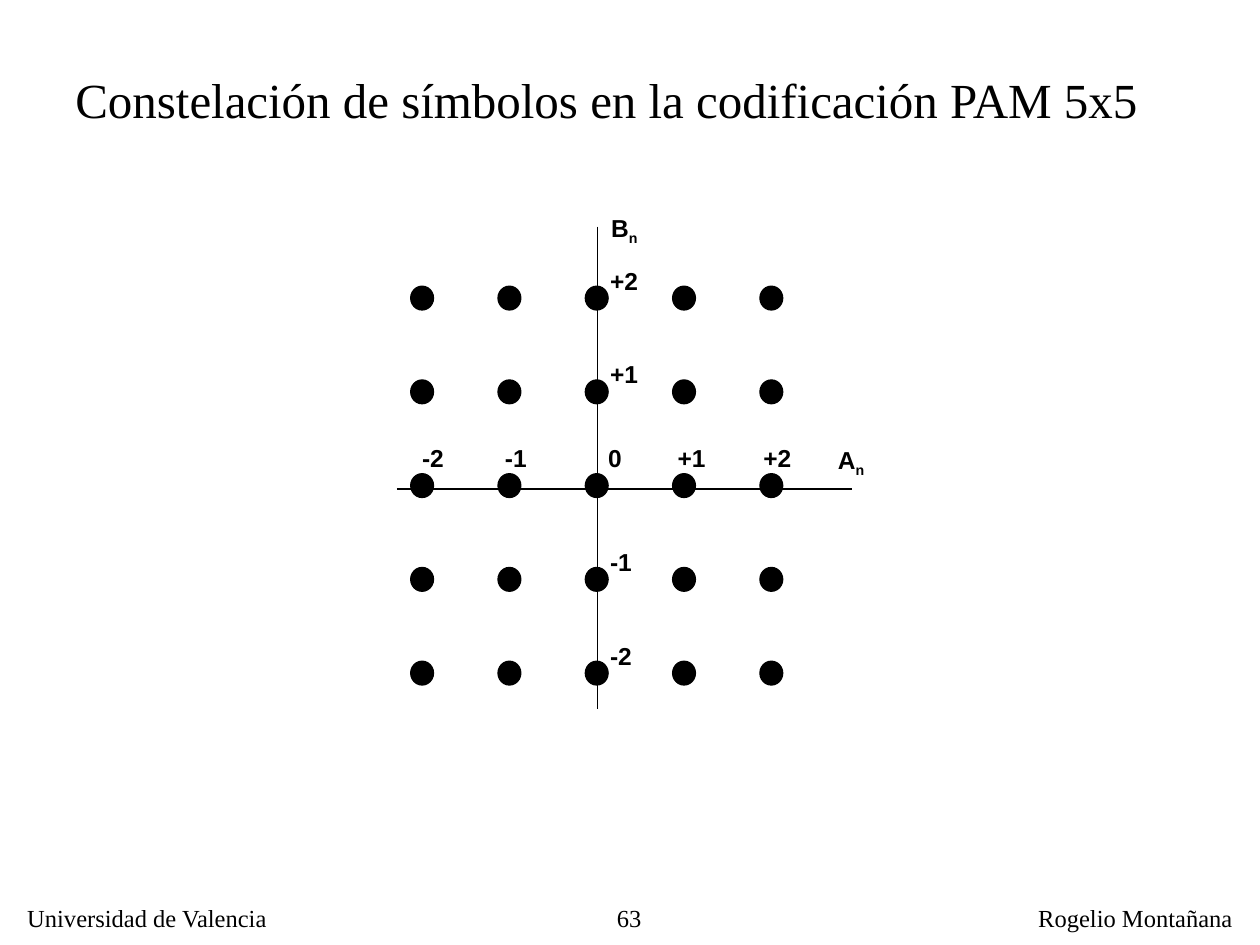
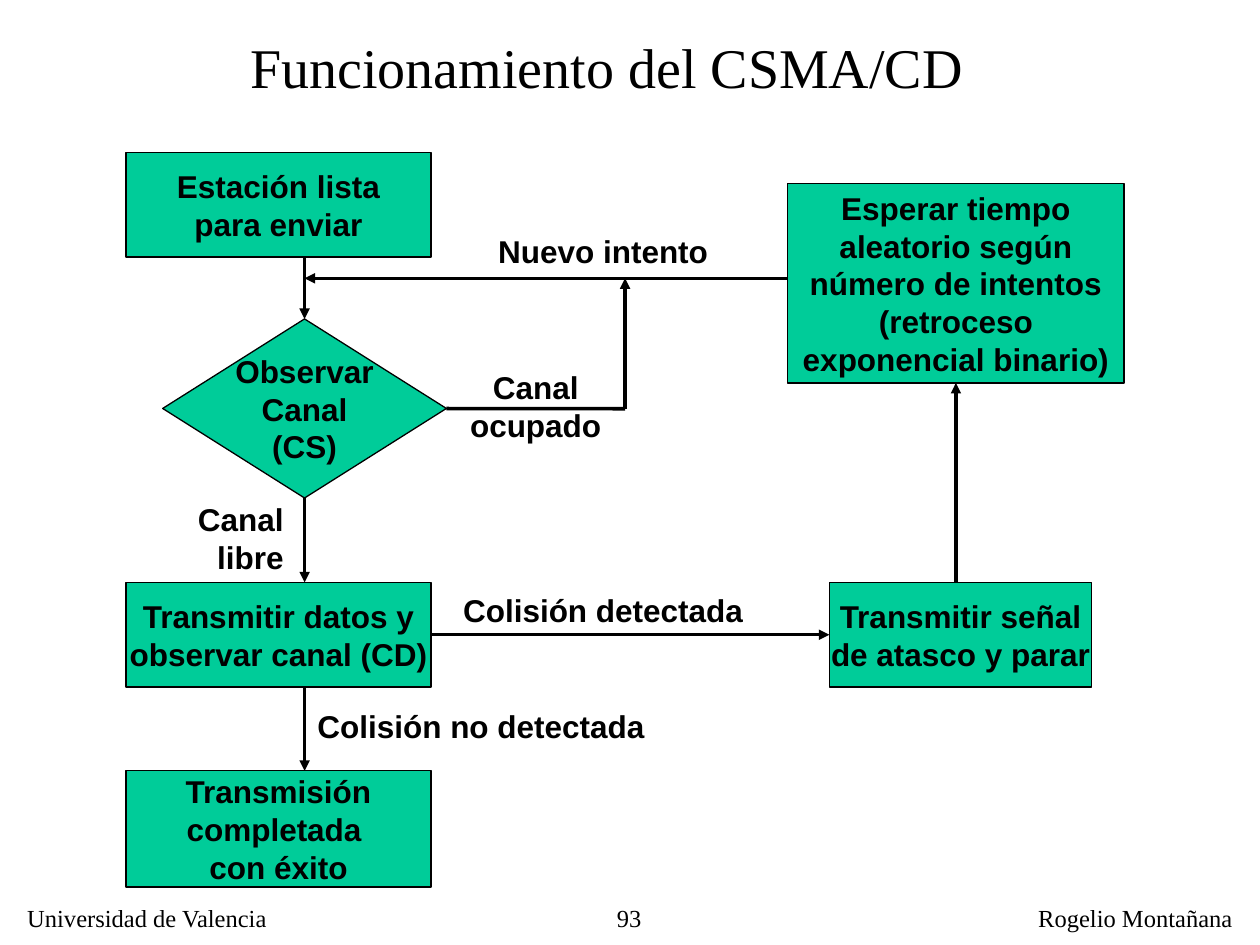
from dataclasses import dataclass

from lxml.etree import SubElement
from pptx import Presentation
from pptx.dml.color import RGBColor
from pptx.enum.shapes import MSO_CONNECTOR, MSO_SHAPE
from pptx.enum.text import MSO_ANCHOR, MSO_AUTO_SIZE, PP_ALIGN
from pptx.oxml.ns import qn
from pptx.util import Cm, Pt


@dataclass(frozen=True)
class Theme:
    ink: RGBColor = RGBColor(0x00, 0x00, 0x00)
    box_fill: RGBColor = RGBColor(0x00, 0xCC, 0x99)
    serif: str = "Times New Roman"
    sans: str = "Arial"
    small: int = 14
    flow: int = 18
    thin_line: float = 0.75
    arrow_line: float = 2


THEME = Theme()
LEFT, CENTER, RIGHT = PP_ALIGN.LEFT, PP_ALIGN.CENTER, PP_ALIGN.RIGHT

# Shared footer: text, (left, top, width, height) in cm, alignment
UNIVERSITY = ("Universidad de Valencia", (0.3, 18.08, 5.41, 0.86), LEFT)
AUTHOR = ("Rogelio Montañana", (20.68, 18.08, 4.42, 0.86), LEFT)
PAGE_NUMBER_PLACE = (10.49, 18.08, 2.69, 0.79)

# Constellation slide
CONSTELLATION_TITLE = ("Constelación de símbolos en la codificación PAM 5x5",
                       (1.27, 1.27, 22, 1.45), 28, LEFT)
AXES = [((8, 9.86), (17.17, 9.86)), ((12.04, 4.57), (12.04, 14.3))]
AXIS_NAMES = [("A", "n", (16.64, 8.84, 1.04, 0.94)),
              ("B", "n", (12.07, 4.17, 1.04, 0.94))]
LEVELS = 5
FIRST_DOT = (8.28, 5.77)
DOT_STEP = (1.76, 1.89)
DOT_SIZE = (0.46, 0.48)
HORIZONTAL_LABELS = [("-2", 8.26), ("-1", 9.93), ("0", 12.01),
                     ("+1", 13.41), ("+2", 15.14)]
HORIZONTAL_LABEL_TOP = 8.8
VERTICAL_LABELS = [("+2", 0), ("+1", 1), ("-1", 3), ("-2", 4)]
VERTICAL_LABEL_LEFT = 12.05
VERTICAL_LABEL_RISE = 0.54
LABEL_WIDTHS = {"-": 0.94, "0": 0.79, "+": 1.07}
LABEL_HEIGHT = 0.86

# Flow chart slide
FLOW_TITLE = ("Funcionamiento del CSMA/CD", (4.8, 0.53, 14.88, 1.63), 32, CENTER)
FLOW_BOXES = {
    "observe": (MSO_SHAPE.DIAMOND, "Observar\nCanal\n(CS)", (3.28, 6.43, 5.72, 3.61)),
    "ready": (MSO_SHAPE.RECTANGLE, "Estación lista\npara enviar",
              (2.54, 3.07, 6.15, 2.11)),
    "done": (MSO_SHAPE.RECTANGLE, "Transmisión\ncompletada \ncon éxito",
             (2.54, 15.54, 6.15, 2.34)),
    "transmit": (MSO_SHAPE.RECTANGLE, "Transmitir datos y\nobservar canal (CD)",
                 (2.54, 11.74, 6.15, 2.11)),
    "jam": (MSO_SHAPE.RECTANGLE, "Transmitir señal\nde atasco y parar",
            (16.72, 11.74, 5.29, 2.11)),
    "wait": (MSO_SHAPE.RECTANGLE,
             "Esperar tiempo\naleatorio según\nnúmero de intentos\n"
             "(retroceso\nexponencial binario)", (15.88, 3.7, 6.78, 4.02)),
}
TOP, LEFT_SIDE, BOTTOM, RIGHT_SIDE = range(4)
MAIN_X, RETRY_Y = 6.14, 5.61
BUSY_CORNER = (12.6, 8.24)
# Each end is a point in cm or a (box, side) pair; the flag asks for an arrowhead
FLOW_LINES = [
    ((MAIN_X, 5.18), ("observe", TOP), True),
    (("observe", BOTTOM), (MAIN_X, 11.74), True),
    ((15.88, RETRY_Y), (MAIN_X, RETRY_Y), True),
    (("observe", RIGHT_SIDE), BUSY_CORNER, False),
    (BUSY_CORNER, (BUSY_CORNER[0], RETRY_Y), True),
    ((19.27, 11.74), ("wait", BOTTOM), True),
    (("transmit", RIGHT_SIDE), ("jam", LEFT_SIDE), True),
    ((MAIN_X, 13.85), (MAIN_X, 15.54), True),
]
FLOW_LABELS = [
    ("Colisión detectada", (8.96, 11.79, 6.4, 1.02), CENTER),
    ("Nuevo intento", (9.46, 4.55, 5.4, 1.02), CENTER),
    ("Canal\nocupado", (9.1, 7.29, 3.4, 1.78), CENTER),
    ("Canal\nlibre", (3.47, 9.96, 2.5, 1.78), RIGHT),
    ("Colisión no detectada", (6, 14.12, 7.4, 1.02), CENTER),
]


def lengths(values):
    return [Cm(value) for value in values]


def write(shape, text, font_name, size, alignment, bold=False, wrap=False):
    frame = shape.text_frame
    frame.word_wrap = wrap
    frame.text = text
    for paragraph in frame.paragraphs:
        paragraph.alignment = alignment
        paragraph.font.name = font_name
        paragraph.font.size = Pt(size)
        paragraph.font.bold = bold
        paragraph.font.color.rgb = THEME.ink


def add_text(slide, text, place, font_name, size, alignment=LEFT, bold=False, wrap=False):
    text_box = slide.shapes.add_textbox(*lengths(place))
    write(text_box, text, font_name, size, alignment, bold, wrap)
    if not wrap:
        text_box.text_frame.auto_size = MSO_AUTO_SIZE.SHAPE_TO_FIT_TEXT
    return text_box


def add_filled(slide, kind, place, fill):
    shape = slide.shapes.add_shape(kind, *lengths(place))
    shape.shadow.inherit = False
    shape.fill.solid()
    shape.fill.fore_color.rgb = fill
    shape.line.color.rgb = THEME.ink
    shape.line.width = Pt(THEME.thin_line)
    return shape


def add_line(slide, start, end, width, arrow=False, boxes=None):
    points = [(0, 0) if isinstance(stop[0], str) else stop for stop in (start, end)]
    connector = slide.shapes.add_connector(
        MSO_CONNECTOR.STRAIGHT, *lengths(points[0] + points[1]))
    for stop, join in ((start, connector.begin_connect), (end, connector.end_connect)):
        if isinstance(stop[0], str):
            join(boxes[stop[0]], stop[1])
    connector.line.color.rgb = THEME.ink
    connector.line.width = Pt(width)
    properties = connector.element.spPr
    if arrow:
        SubElement(properties.find(qn("a:ln")), qn("a:tailEnd"), type="triangle")
    SubElement(properties, qn("a:effectLst"))


def add_page(presentation, title, number):
    slide = presentation.slides.add_slide(presentation.slide_layouts[6])
    add_text(slide, number, PAGE_NUMBER_PLACE, THEME.serif, THEME.small, RIGHT, wrap=True)
    for text, place, alignment in (UNIVERSITY, AUTHOR):
        add_text(slide, text, place, THEME.serif, THEME.small, alignment)
    text, place, size, alignment = title
    add_text(slide, text, place, THEME.serif, size, alignment)
    return slide


def add_axis_label(slide, text, left, top):
    place = (left, top, LABEL_WIDTHS[text[0]], LABEL_HEIGHT)
    add_text(slide, text, place, THEME.sans, THEME.small, bold=True)


def build_constellation(presentation):
    slide = add_page(presentation, CONSTELLATION_TITLE, "63")
    for start, end in AXES:
        add_line(slide, start, end, THEME.thin_line)

    # Grid of symbols
    columns, rows = ([first + step * level for level in range(LEVELS)]
                     for first, step in zip(FIRST_DOT, DOT_STEP))
    for left in columns:
        for top in rows:
            add_filled(slide, MSO_SHAPE.OVAL, (left, top, *DOT_SIZE), THEME.ink)

    # Axis values and names
    for text, left in HORIZONTAL_LABELS:
        add_axis_label(slide, text, left, HORIZONTAL_LABEL_TOP)
    for text, row in VERTICAL_LABELS:
        add_axis_label(slide, text, VERTICAL_LABEL_LEFT, rows[row] - VERTICAL_LABEL_RISE)
    for letter, subscript, place in AXIS_NAMES:
        text_box = add_text(slide, letter, place, THEME.sans, THEME.small, bold=True)
        run = text_box.text_frame.paragraphs[0].add_run()
        run.text = subscript
        run.font.bold = True
        text_box.element.findall(".//" + qn("a:rPr"))[-1].set("baseline", "-25000")


def build_flow_chart(presentation):
    slide = add_page(presentation, FLOW_TITLE, "93")

    # Steps
    boxes = {}
    for name, (kind, text, place) in FLOW_BOXES.items():
        boxes[name] = add_filled(slide, kind, place, THEME.box_fill)
        write(boxes[name], text, THEME.sans, THEME.flow, CENTER, bold=True)
        boxes[name].text_frame.vertical_anchor = MSO_ANCHOR.MIDDLE

    # Arrows and their labels
    for start, end, arrow in FLOW_LINES:
        add_line(slide, start, end, THEME.arrow_line, arrow, boxes)
    for text, place, alignment in FLOW_LABELS:
        add_text(slide, text, place, THEME.sans, THEME.flow, alignment, bold=True)


def main():
    presentation = Presentation()
    presentation.slide_width, presentation.slide_height = Cm(25.4), Cm(19.05)
    build_constellation(presentation)
    build_flow_chart(presentation)
    presentation.save("out.pptx")


if __name__ == "__main__":
    main()
